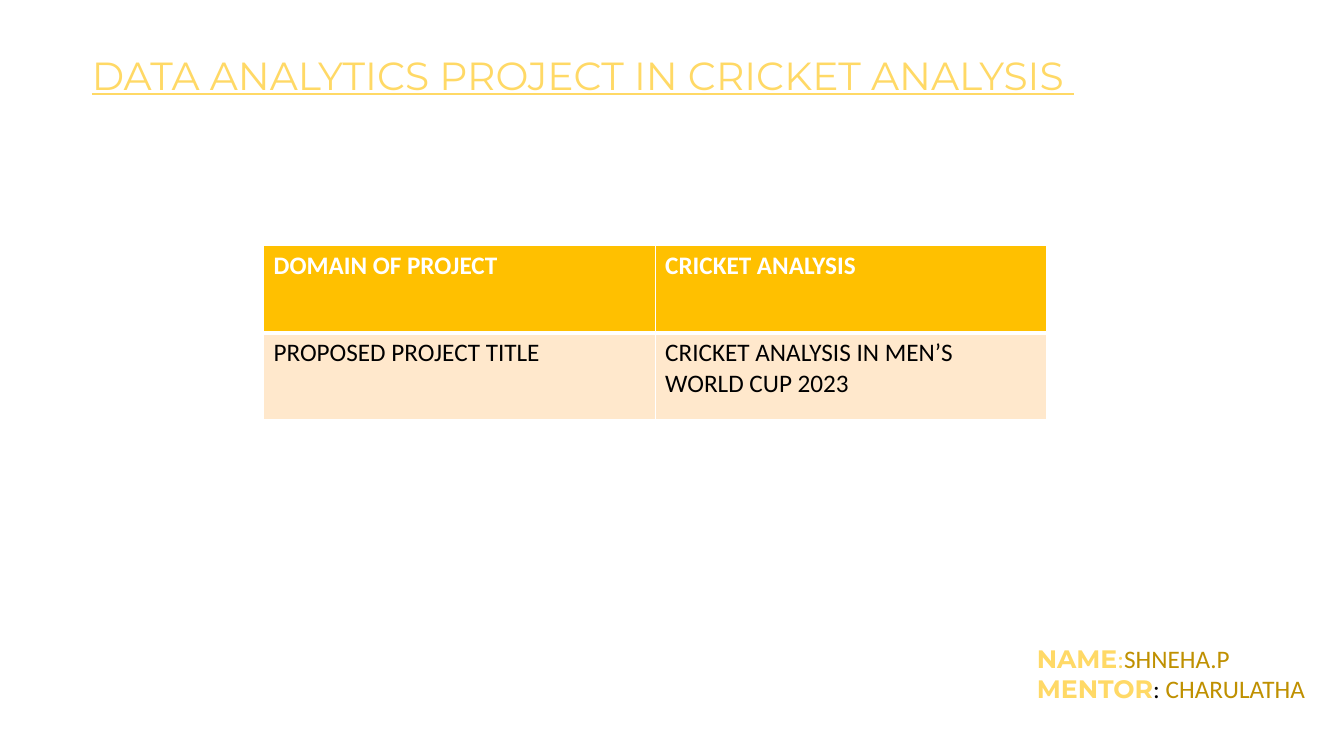
from lxml import etree
from pptx import Presentation
from pptx import util as u
from pptx.dml import color
from pptx.enum import text
from pptx.oxml import ns

INK = {
    "white": "FFFFFF",
    "black": "000000",
    "amber": "FFC000",
    "cream": "FFE8CC",
    "gold": "FFD966",
    "bronze": "BF9000",
}


def px(n):
    return u.Emu(n * 9525)


def rgb(name):
    return color.RGBColor.from_string(INK[name])


class Deck:
    base = {"name": "Calibri", "size": u.Pt(18), "bold": False}

    def __init__(self, wide, high):
        self.show = Presentation()
        self.show.slide_width, self.show.slide_height = px(wide), px(high)
        self.slide = self.show.slides.add_slide(self.show.slide_layouts[6])

    def run(self, para, words, ink, **form):
        font = para.add_run()
        font.text = words
        font = font.font
        for key, value in {**self.base, **form}.items():
            setattr(font, key, value)
        font.color.rgb = rgb(ink)

    def text(self, box, lines):
        frame = self.slide.shapes.add_textbox(*map(px, box)).text_frame
        frame.word_wrap = True
        frame.auto_size = text.MSO_AUTO_SIZE.SHAPE_TO_FIT_TEXT
        for i, line in enumerate(lines):
            para = frame.add_paragraph() if i else frame.paragraphs[0]
            for words, ink, form in line:
                self.run(para, words, ink, **form)

    def edge(self, cell, side, width):
        props = cell._tc.get_or_add_tcPr()
        line = etree.SubElement(props, ns.qn("a:ln" + side), w=str(u.Pt(width)))
        fill = etree.SubElement(line, ns.qn("a:solidFill"))
        etree.SubElement(fill, ns.qn("a:srgbClr"), val=INK["white"])

    def table(self, box, rows, looks):
        shape = self.slide.shapes.add_table(len(rows), len(rows[0]), *map(px, box))
        for r, (row, look) in enumerate(zip(rows, looks)):
            for c, words in enumerate(row):
                cell = shape.table.cell(r, c)
                for side in "LRTB":
                    self.edge(cell, side, look["edges"].get(side, 1))
                cell.fill.solid()
                cell.fill.fore_color.rgb = rgb(look["fill"])
                self.run(cell.text_frame.paragraphs[0], words, look["ink"], bold=look["bold"])

    def save(self):
        self.show.save("out.pptx")


def main():
    deck = Deck(1280, 720)
    title = {"name": "Montserrat", "size": u.Pt(28), "underline": True}
    label = {"name": "Montserrat", "bold": True}
    deck.text((78, 44, 1140, 55), [
        [("DATA ANALYTICS PROJECT IN CRICKET ANALYSIS ", "gold", title)],
    ])
    deck.table((251, 234, 746, 166), [
        ["DOMAIN OF PROJECT", "CRICKET ANALYSIS"],
        ["PROPOSED PROJECT TITLE", "CRICKET ANALYSIS IN MEN’S WORLD CUP 2023"],
    ], [
        {"fill": "amber", "ink": "white", "bold": True, "edges": {"B": 3}},
        {"fill": "cream", "ink": "black", "bold": False, "edges": {"T": 3}},
    ])
    deck.text((978, 608, 439, 68), [
        [("NAME", "gold", label), (":", "gold", {}), ("SHNEHA.P", "bronze", {})],
        [("MENTOR", "gold", label), (": ", "black", {}), ("CHARULATHA", "bronze", {})],
    ])
    deck.save()


if __name__ == "__main__":
    main()
